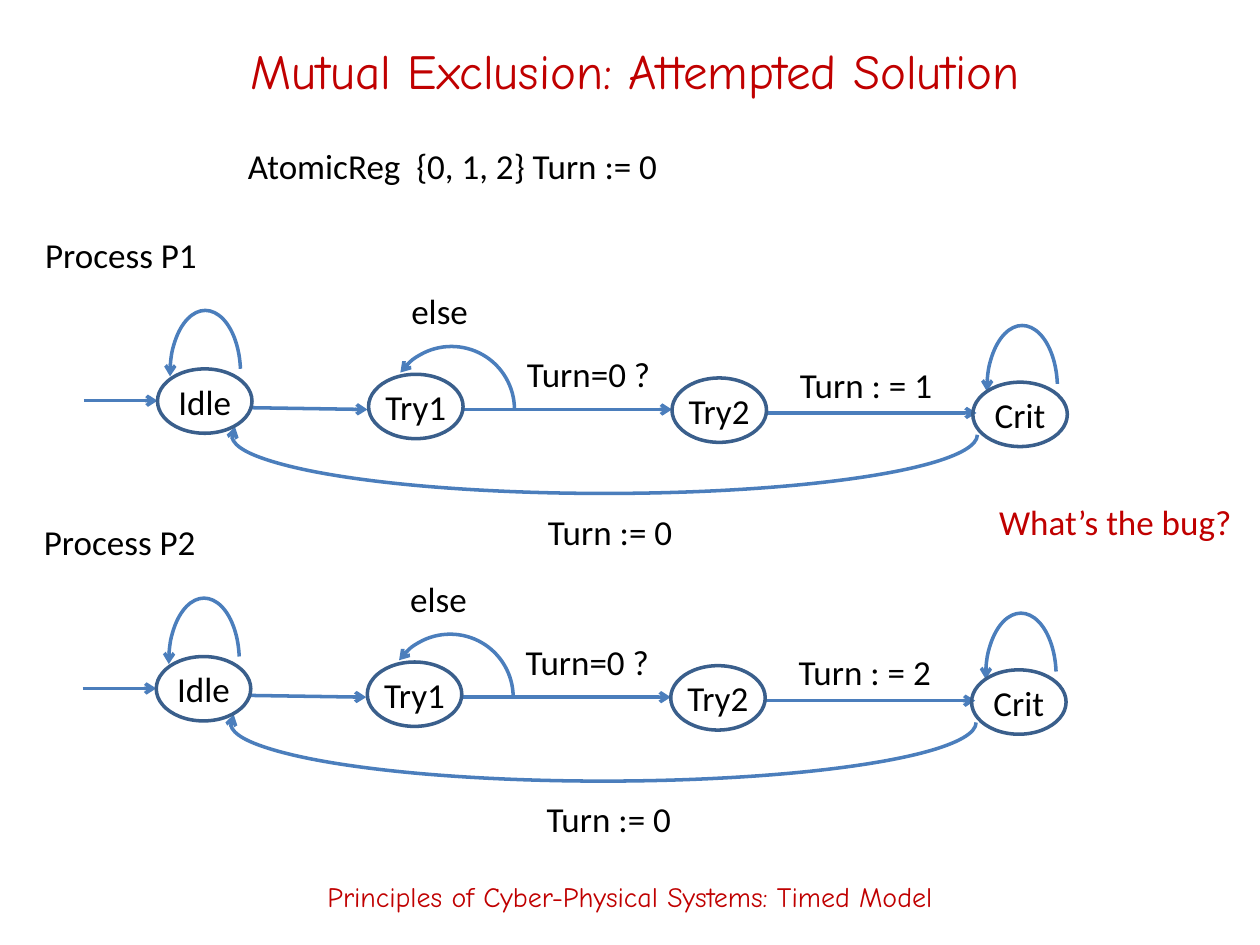
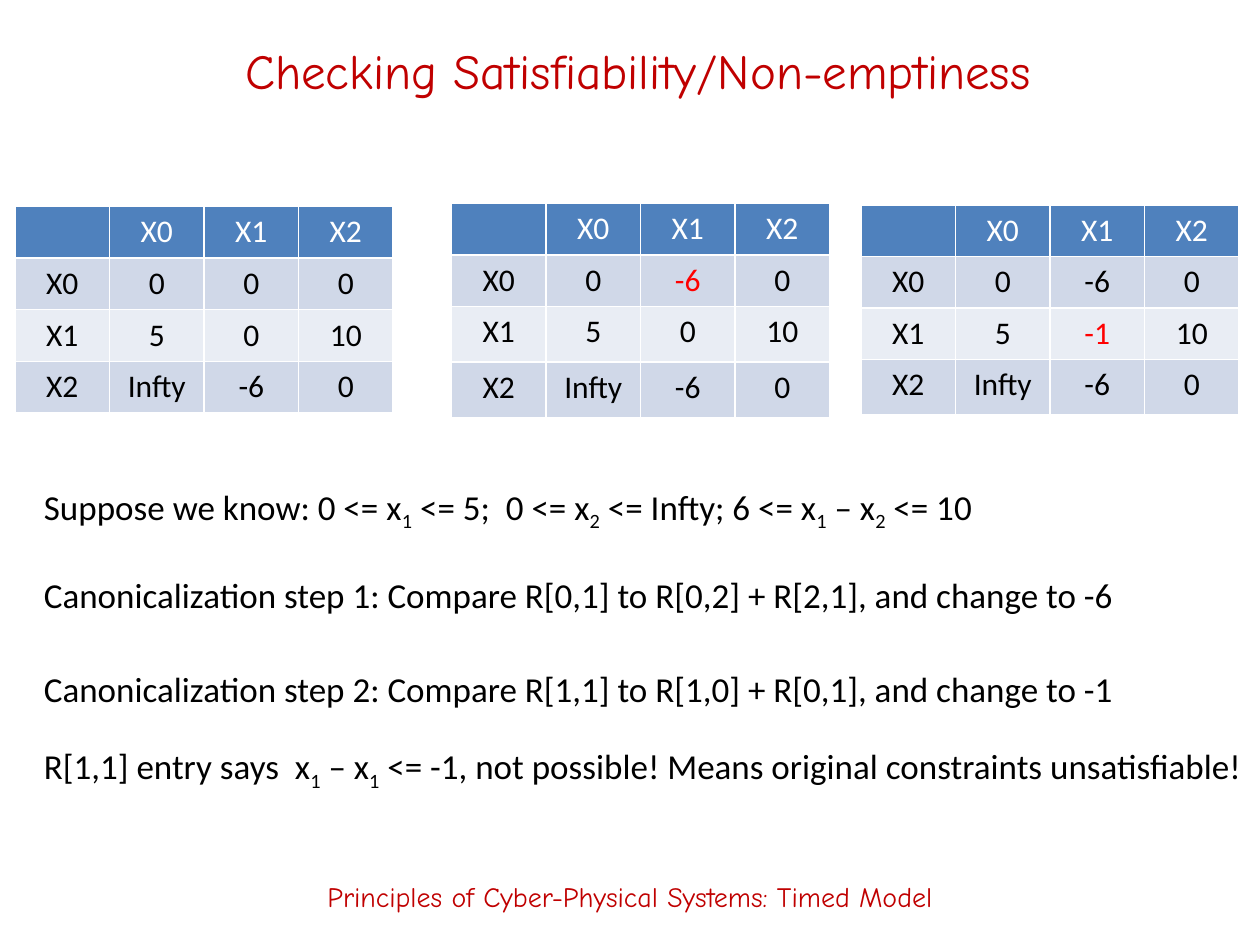
from lxml import etree
from pptx import Presentation
from pptx.dml.color import RGBColor
from pptx.enum.shapes import MSO_CONNECTOR, MSO_SHAPE
from pptx.enum.text import MSO_ANCHOR, MSO_AUTO_SIZE, PP_ALIGN
from pptx.oxml.ns import qn
from pptx.util import Pt

STRAIGHT = MSO_CONNECTOR.STRAIGHT
ARC, OVAL = MSO_SHAPE.ARC, MSO_SHAPE.OVAL
MIDDLE, CENTER = MSO_ANCHOR.MIDDLE, PP_ALIGN.CENTER
GROW = MSO_AUTO_SIZE.SHAPE_TO_FIT_TEXT

# Shared style
WIDTH, HEIGHT = 720, 540
BODY_FONT, TITLE_FONT = "Calibri", "Comic Neue"
RED, BLACK, WHITE, ALERT = "C00000", "000000", "FFFFFF", "FF0000"
EDGE_BLUE, STATE_BLUE = "4B7EBC", "3A5F8C"
HEADER_FILL, BAND_FILLS = "4F81BD", ("D0D8E8", "E9EDF4")
FOOTER = "Principles of Cyber-Physical Systems: Timed Model"
LABEL_HEIGHT = 31.5

# Mutual exclusion: left, top, width of each text, coordinates of process P1
MUTEX_TITLE = "Mutual Exclusion: Attempted Solution"
MUTEX_NOTES = [
    ("AtomicReg  {0, 1, 2} Turn := 0", 134.6, 79.2, 250.6, BLACK),
    ("What’s the bug?", 563.8, 282.2, 148.3, RED),
]
PROCESSES = [("Process P1", "Turn : = 1", 0, 0),
             ("Process P2", "Turn : = 2", -0.72, 164.4)]
STATE_SIZE = (54, 36.8)
STATES = [("Idle", 90, 210.8), ("Try1", 210.6, 213.9),
          ("Try2", 384, 216), ("Crit", 555.9, 218.4)]
EDGES = [((48, 229), (90, 229)), ((144, 233), (210, 234)),
         ((264, 234), (384, 234)), ((438, 236), (558, 236))]
EDGE_LABELS = [("else", 228, 162, 47.5), ("Turn=0 ?", 294, 198, 85.7),
               ("Turn := 0", 306, 288, 86.4)]
NAME_PLACE, SET_PLACE = (18.7, 129.6, 102.2), (450, 204, 90.7)
# left, top, width, height, rotation, start and end angle, arrow end
ARCS = [
    (311.9, 35.4, 67, 426.2, 90, 270, 91.23, "tailEnd"),
    (222, 198, 72, 72, 0, 215.84, 0, "headEnd"),
    (564, 186, 40.3, 72, 0, 175.16, 352.55, "headEnd"),
    (97.2, 177.4, 40.3, 72, 0, 175.16, 352.55, "headEnd"),
]

# Satisfiability: the bound matrix and the entry changed at each step
CHECK_TITLE = "Checking Satisfiability/Non-emptiness"
MATRIX = [["", "X0", "X1", "X2"],
          ["X0", "0", "0", "0"],
          ["X1", "5", "0", "10"],
          ["X2", "Infty", "-6", "0"]]
ROW, TALL_ROW, COLUMN = 29.5, 31.8, 54
# left, top, row heights, changed entry (row, column, value)
STEPS = [
    (8.6, 118, (ROW, ROW, ROW, ROW), None),
    (258, 116.2, (ROW, ROW, TALL_ROW, TALL_ROW), (1, 2, "-6")),
    (492, 117, (ROW, ROW, ROW, TALL_ROW), (2, 2, "-1")),
]
# Parts between bars are subscripts
REASONING = [
    ("Suppose we know: 0 <= x|1| <= 5;  0 <= x|2| <= Infty; 6 <= x|1| – x|2| <= 10", 273.6, 553),
    ("Canonicalization step 1: Compare R[0,1] to R[0,2] + R[2,1], and change to -6", 324, 640),
    ("Canonicalization step 2: Compare R[1,1] to R[1,0] + R[0,1], and change to -1", 378, 640),
    ("R[1,1] entry says  x|1| – x|1| <= -1, not possible! Means original constraints unsatisfiable!",
     422, 702),
]


def color(hex_code):
    return RGBColor.from_string(hex_code)


def points(*values):
    return [Pt(value) for value in values]


def style(para, size, hex_code, font=BODY_FONT):
    for span in para.runs:
        span.font.size, span.font.name = Pt(size), font
        span.font.bold = False
        span.font.color.rgb = color(hex_code)


def add_label(page, text, left, top, width, hex_code=BLACK):
    box = page.shapes.add_textbox(*points(left, top, width, LABEL_HEIGHT))
    box.text_frame.word_wrap = False
    box.text_frame.auto_size = GROW
    para = box.text_frame.paragraphs[0]
    for index, part in enumerate(text.split("|")):
        span = para.add_run()
        span.text = part
        if index % 2:
            span._r.get_or_add_rPr().set("baseline", "-25000")
    style(para, 20, hex_code)


def draw_line(shape, hex_code, arrow=None):
    shape.line.color.rgb = color(hex_code)
    shape.line.width = Pt(2)
    if arrow:
        etree.SubElement(shape.line._get_or_add_ln(), qn("a:" + arrow), type="arrow")


def add_outline(page, kind, left, top, width, height, hex_code, arrow=None):
    shape = page.shapes.add_shape(kind, *points(left, top, width, height))
    shape.shadow.inherit = False
    shape.fill.background()
    draw_line(shape, hex_code, arrow)
    return shape


def add_state(page, name, left, top):
    state = add_outline(page, OVAL, left, top, *STATE_SIZE, STATE_BLUE)
    frame = state.text_frame
    frame.text = name
    frame.word_wrap = False
    frame.vertical_anchor = MIDDLE
    frame.paragraphs[0].alignment = CENTER
    style(frame.paragraphs[0], 20, BLACK)


def add_edge(page, start, end, dx, dy):
    edge = page.shapes.add_connector(
        STRAIGHT, *points(start[0] + dx, start[1] + dy, end[0] + dx, end[1] + dy))
    draw_line(edge, EDGE_BLUE, "tailEnd")
    etree.SubElement(edge._element.spPr, qn("a:effectLst"))


def add_process(page, name, assignment, dx, dy):
    for start, end in EDGES:
        add_edge(page, start, end, dx, dy)
    for left, top, width, height, turn, start, end, arrow in ARCS:
        arc = add_outline(page, ARC, left + dx, top + dy, width, height, EDGE_BLUE, arrow)
        arc.rotation = turn
        # Arc angles are stored in 60000ths of a degree, adjustments in 100000ths
        arc.adjustments[0], arc.adjustments[1] = start * 0.6, end * 0.6
    for state, left, top in STATES:
        add_state(page, state, left + dx, top + dy)
    labels = EDGE_LABELS + [(name, *NAME_PLACE), (assignment, *SET_PLACE)]
    for text, left, top, width in labels:
        add_label(page, text, left + dx, top + dy, width)


def add_matrix(page, left, top, heights, change):
    size = len(MATRIX)
    table = page.shapes.add_table(
        size, size, *points(left, top, COLUMN * size, sum(heights))).table
    for column in table.columns:
        column.width = Pt(COLUMN)
    for r, values in enumerate(MATRIX):
        table.rows[r].height = Pt(heights[r])
        for c, value in enumerate(values):
            ink = BLACK if r else WHITE
            # Earlier changes stay in place; only the latest one is highlighted
            for _, _, _, earlier in STEPS:
                if change and earlier and earlier <= change and earlier[:2] == (r, c):
                    value = earlier[2]
                    ink = ALERT if earlier == change else BLACK
            cell = table.cell(r, c)
            cell.fill.solid()
            cell.fill.fore_color.rgb = color(BAND_FILLS[(r - 1) % 2] if r else HEADER_FILL)
            cell.text_frame.text = value
            para = cell.text_frame.paragraphs[0]
            para.alignment = CENTER
            style(para, 18, ink)


def center_text(box, text, size):
    frame = box.text_frame
    frame.text = text
    frame.word_wrap = True
    frame.vertical_anchor = MIDDLE
    frame.paragraphs[0].alignment = CENTER
    style(frame.paragraphs[0], size, RED, TITLE_FONT)


def add_page(deck, title, left):
    page = deck.slides.add_slide(deck.slide_layouts[5])
    box = page.shapes.title
    box.left, box.top, box.width, box.height = points(left, 12, 618, 56)
    center_text(box, title, 28)
    footer = page.shapes.add_textbox(*points(0, 484, WIDTH, 56))
    center_text(footer, FOOTER, 16)
    return page


def main():
    deck = Presentation()
    deck.slide_width, deck.slide_height = points(WIDTH, HEIGHT)

    # Two processes sharing a register
    page = add_page(deck, MUTEX_TITLE, 54)
    for note in MUTEX_NOTES:
        add_label(page, *note)
    for process in PROCESSES:
        add_process(page, *process)

    # Canonicalization steps
    page = add_page(deck, CHECK_TITLE, 55.5)
    for step in STEPS:
        add_matrix(page, *step)
    for text, top, width in REASONING:
        add_label(page, text, 18, top, width)

    deck.save("out.pptx")


if __name__ == "__main__":
    main()
